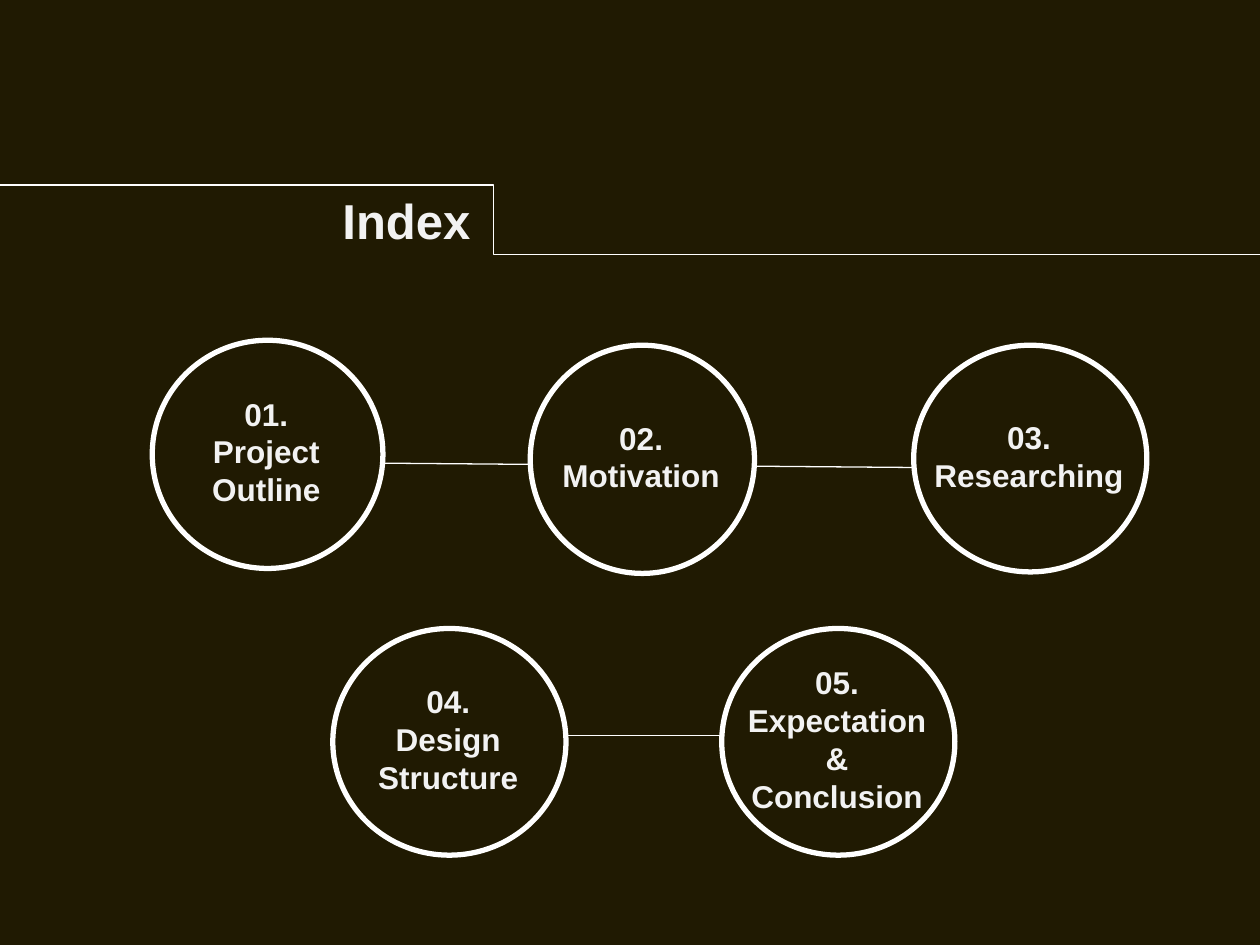
"""Build the index slide with five linked topic circles."""
from lxml import etree
from pptx import Presentation
from pptx.dml.color import RGBColor
from pptx.enum.shapes import MSO_CONNECTOR, MSO_SHAPE
from pptx.enum.text import MSO_ANCHOR, MSO_AUTO_SIZE, PP_ALIGN
from pptx.oxml.ns import qn
from pptx.util import Cm, Pt

STRAIGHT, ELBOW = MSO_CONNECTOR.STRAIGHT, MSO_CONNECTOR.ELBOW
OVAL = MSO_SHAPE.OVAL
TOP, MIDDLE = MSO_ANCHOR.TOP, MSO_ANCHOR.MIDDLE
LEFT, CENTER = PP_ALIGN.LEFT, PP_ALIGN.CENTER
NO_AUTOFIT = MSO_AUTO_SIZE.NONE

DARK = RGBColor(0x20, 0x1A, 0x02)
WHITE = RGBColor(0xFF, 0xFF, 0xFF)
PALE = RGBColor(0xF2, 0xF2, 0xF2)

TOPICS = [
    (3.07, 6.86, 4.65, 4.6, "01.\nProject\nOutline"),
    (10.69, 6.96, 4.52, 4.6, "02.\nMotivation"),
    (18.42, 6.96, 4.7, 4.57, "03.\nResearching"),
    (6.71, 12.67, 4.7, 4.57, "04.\nDesign Structure"),
    (14.55, 12.67, 4.7, 4.57, "05.\nExpectation\n&\nConclusion"),
]


def add_line(kind, *ends):
    line = slide.shapes.add_connector(kind, *(Cm(end) for end in ends))
    line.line.color.rgb = WHITE
    line.line.width = Pt(0.75)
    etree.SubElement(line._element.spPr, qn("a:effectLst"))
    return line


def write(frame, text, size, anchor, align):
    frame.text = text
    frame.word_wrap = True
    frame.auto_size = NO_AUTOFIT
    frame.vertical_anchor = anchor
    for paragraph in frame.paragraphs:
        paragraph.alignment = align
        paragraph.font.name = "Arial"
        paragraph.font.size = Pt(size)
        paragraph.font.bold = True
        paragraph.font.color.rgb = PALE


prs = Presentation()
prs.slide_width, prs.slide_height = Cm(25.4), Cm(19.05)
slide = prs.slides.add_slide(prs.slide_layouts[5])
slide.background.fill.solid()
slide.background.fill.fore_color.rgb = DARK

title = slide.shapes.title
title.left, title.top, title.width, title.height = Cm(6.65), Cm(3.71), Cm(7.59), Cm(1.45)
write(title.text_frame, "Index", 28, TOP, LEFT)

title_step = add_line(ELBOW, 0, 3.73, 26.11, 5.13)
bend = title_step._element.spPr.find(qn("a:prstGeom")).find(qn("a:avLst"))
etree.SubElement(bend, qn("a:gd"), name="adj1", fmla="val 38100")

add_line(STRAIGHT, 5.64, 9.32, 21.51, 9.45)
add_line(STRAIGHT, 8.46, 14.83, 18.11, 14.83)

for left, top, width, height, topic in TOPICS:
    circle = slide.shapes.add_shape(OVAL, Cm(left), Cm(top), Cm(width), Cm(height))
    circle.shadow.inherit = False
    circle.fill.solid()
    circle.fill.fore_color.rgb = DARK
    circle.line.color.rgb = WHITE
    circle.line.width = Pt(3)
    label = slide.shapes.add_textbox(
        Cm(left - 0.29), Cm(top - 0.25), Cm(width + 0.53), Cm(height + 0.38))
    write(label.text_frame, topic, 18, MIDDLE, CENTER)

prs.save("out.pptx")
